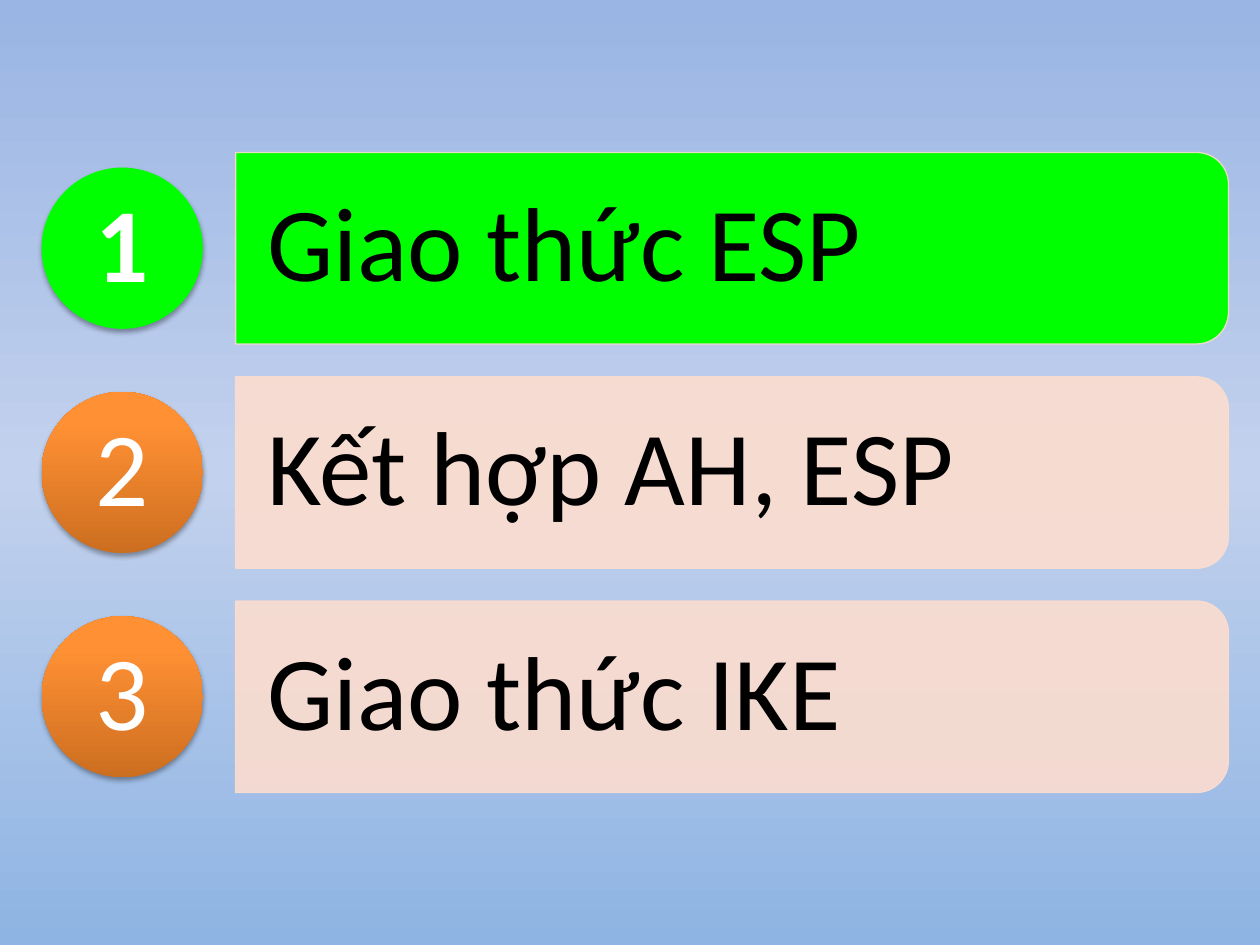
from lxml.etree import SubElement
from pptx import Presentation
from pptx.dml.color import RGBColor
from pptx.enum.shapes import MSO_SHAPE
from pptx.enum.text import MSO_ANCHOR, PP_ALIGN
from pptx.oxml.ns import qn
from pptx.util import Inches, Pt

COLORS = {
    "active": "00FF00", "bar": "FCDDCF", "text": "000000", "number": "FFFFFF",
    "shadow": "000000",
}
BACKGROUND_STOPS = [(0, "9AB5E4"), (50, "C2D1ED"), (100, "8EB4E3")]
CIRCLE_STOPS = [(0, "CC6E20"), (80, "FF9034"), (100, "FF9136")]
AGENDA = ["Giao thức ESP", "Kết hợp AH, ESP", "Giao thức IKE"]
ACTIVE_NUMBER = 1


def color(name):
    return RGBColor.from_string(COLORS[name])


def set_gradient(properties, stops, angle):
    """Replace the solid fill of a properties element by a linear gradient."""
    solid = properties.find(qn("a:solidFill"))
    gradient = properties.makeelement(qn("a:gradFill"), {"rotWithShape": "1"})
    stop_list = SubElement(gradient, qn("a:gsLst"))
    for position, value in stops:
        stop = SubElement(stop_list, qn("a:gs"), pos=str(position * 1000))
        SubElement(stop, qn("a:srgbClr"), val=value)
    SubElement(gradient, qn("a:lin"), ang=str(angle * 60000), scaled="0")
    properties.replace(solid, gradient)


def set_opacity(fill_parent, percent):
    value = fill_parent.find(qn("a:solidFill")).find(qn("a:srgbClr"))
    SubElement(value, qn("a:alpha"), val=str(percent * 1000))


def add_shadow(shape):
    shape.shadow.inherit = False
    effects = shape.element.spPr.find(qn("a:effectLst"))
    shadow = SubElement(effects, qn("a:outerShdw"), blurRad=str(Pt(3.1)),
                        dist=str(Pt(1.8)), dir="5400000", rotWithShape="0")
    value = SubElement(shadow, qn("a:srgbClr"), val=COLORS["shadow"])
    SubElement(value, qn("a:alpha"), val="35000")


def add_label(shapes, box, text, color_name, margins=(0, 0), align=None, bold=None):
    label = shapes.add_textbox(*map(Inches, box))
    frame = label.text_frame
    frame.word_wrap = True
    frame.vertical_anchor = MSO_ANCHOR.MIDDLE
    frame.margin_left = frame.margin_right = Inches(margins[0])
    frame.margin_top = frame.margin_bottom = Inches(margins[1])
    paragraph = frame.paragraphs[0]
    paragraph.alignment = align
    paragraph.line_spacing = 0.9
    run = paragraph.add_run()
    run.text = text
    run.font.name = "Calibri"
    run.font.size = Pt(60)
    run.font.bold = bold
    run.font.color.rgb = color(color_name)


def add_bar(shapes, left, top, width, height, text, active):
    # The preset rounds its top corners, so it is turned to round the right side
    bar = shapes.add_shape(
        MSO_SHAPE.ROUND_2_SAME_RECTANGLE,
        Inches(left + (width - height) / 2), Inches(top + (height - width) / 2),
        Inches(height), Inches(width))
    bar.rotation = 90
    bar.shadow.inherit = False
    bar.fill.solid()
    bar.fill.fore_color.rgb = color("active" if active else "bar")
    if not active:
        set_opacity(bar.element.spPr, 90)
    bar.line.width = Pt(0.75)
    bar.line.color.rgb = color("bar")
    set_opacity(bar.element.spPr.find(qn("a:ln")), 90)
    add_label(shapes, (left, top + 0.07, width - 0.07, height - 0.15), text,
              "text", margins=(0.25, 0.17))


def add_number(shapes, left, top, size, number, active):
    circle = shapes.add_shape(MSO_SHAPE.OVAL, Inches(left), Inches(top),
                              Inches(size), Inches(size))
    circle.fill.solid()
    circle.fill.fore_color.rgb = color("active")
    if not active:
        set_gradient(circle.element.spPr, CIRCLE_STOPS, 270)
    circle.line.fill.background()
    add_shadow(circle)
    inset = 0.19
    inner = size - 2 * inset
    add_label(shapes, (left + inset, top + inset, inner, inner), str(number),
              "number", align=PP_ALIGN.CENTER, bold=active or None)


def add_agenda(slide, left, top, width, row_height, pitch):
    shapes = slide.shapes.add_group_shape().shapes
    circle_size, bar_offset = 1.28, 1.54
    for index, text in enumerate(AGENDA):
        row_top = top + index * pitch
        active = index + 1 == ACTIVE_NUMBER
        add_bar(shapes, left + bar_offset, row_top, width - bar_offset, row_height,
                text, active)
        add_number(shapes, left, row_top + (row_height - circle_size) / 2,
                   circle_size, index + 1, active)


def main():
    presentation = Presentation()
    presentation.slide_width = Inches(10)
    presentation.slide_height = Inches(7.5)
    slide = presentation.slides.add_slide(presentation.slide_layouts[6])

    # Background
    slide.background.fill.solid()
    slide.background.fill.fore_color.rgb = color("number")
    set_gradient(next(slide.element.iter(qn("p:bgPr"))), BACKGROUND_STOPS, 90)

    # Numbered agenda
    add_agenda(slide, left=0.33, top=1.21, width=9.42, row_height=1.52, pitch=1.78)
    presentation.save("out.pptx")


if __name__ == "__main__":
    main()
